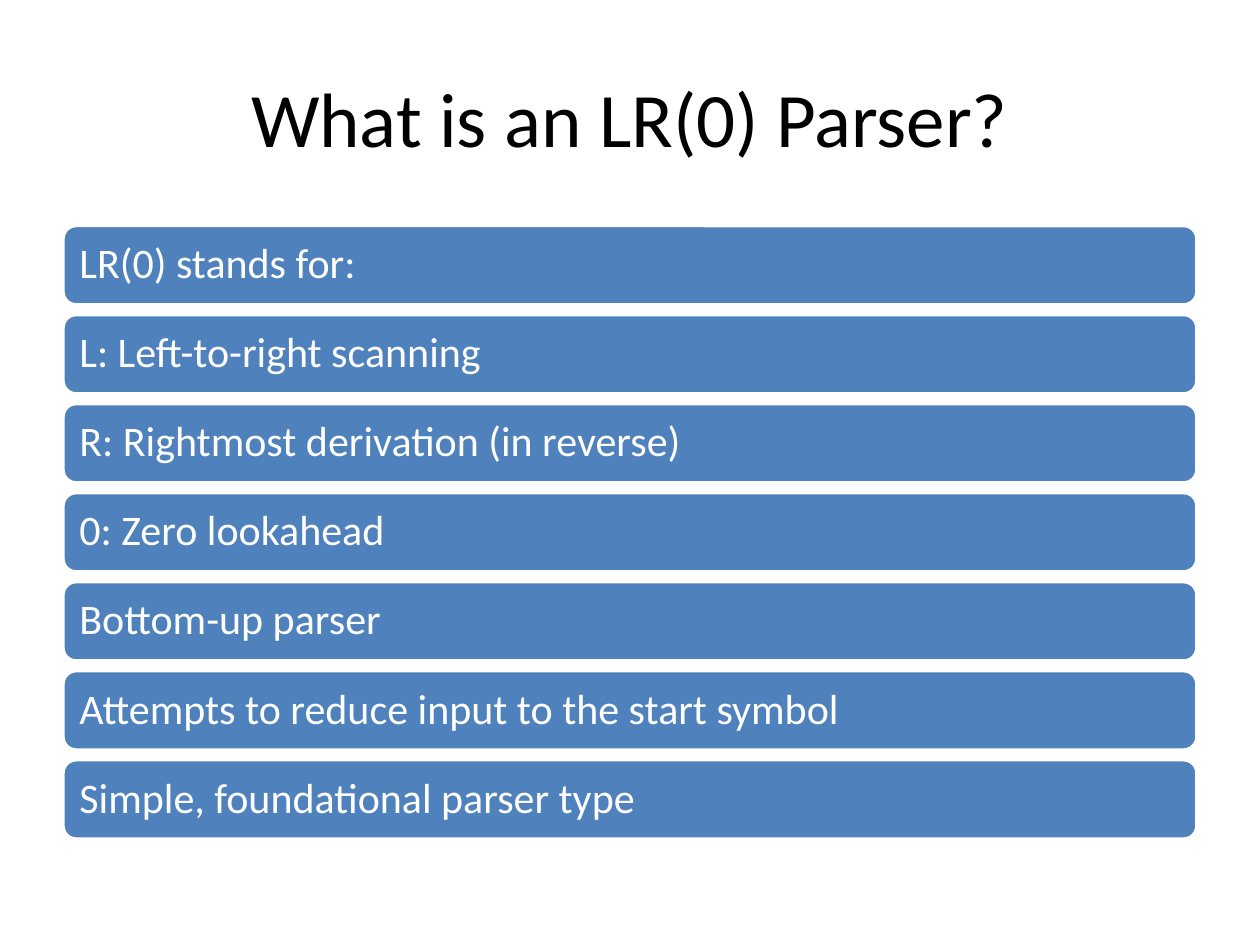
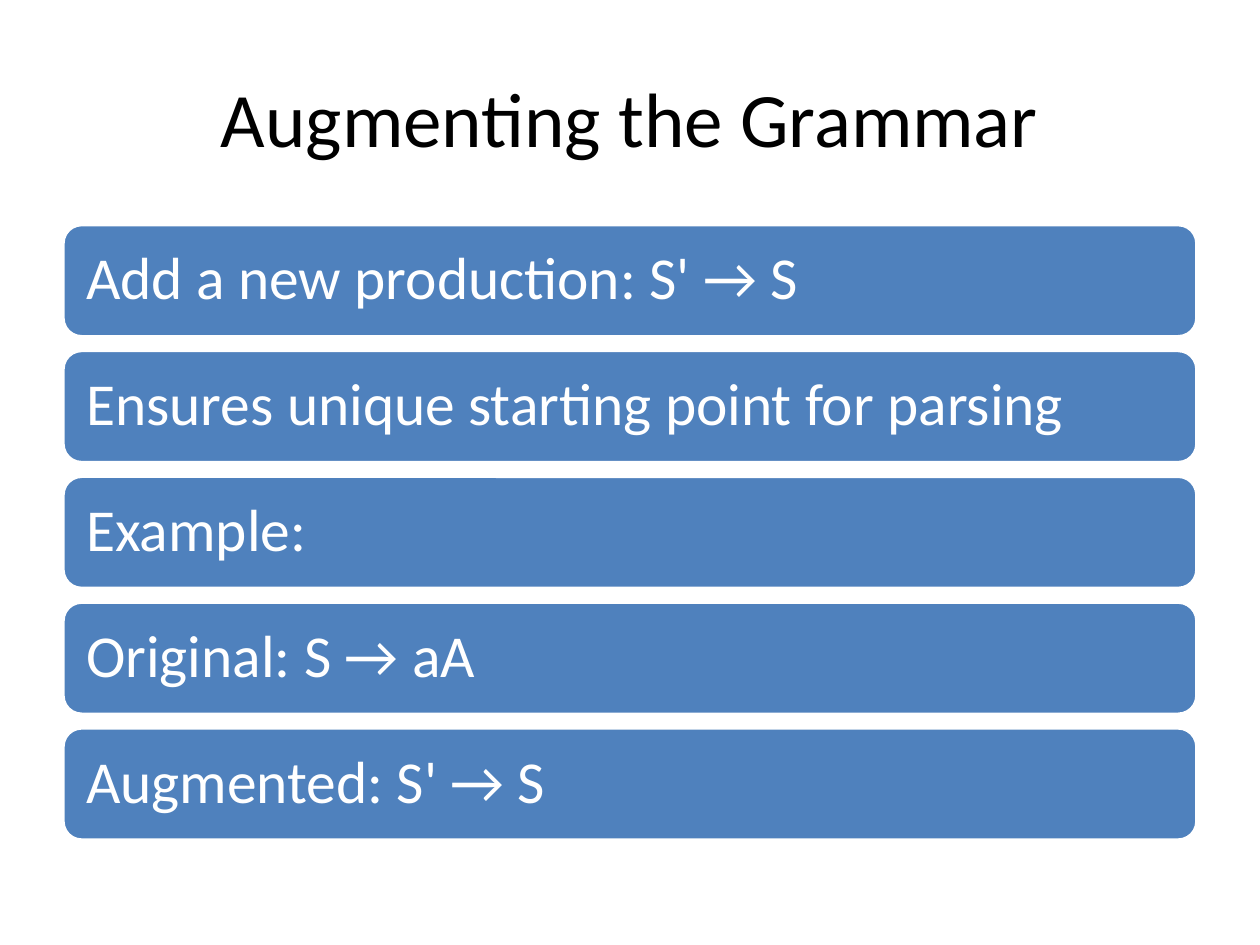
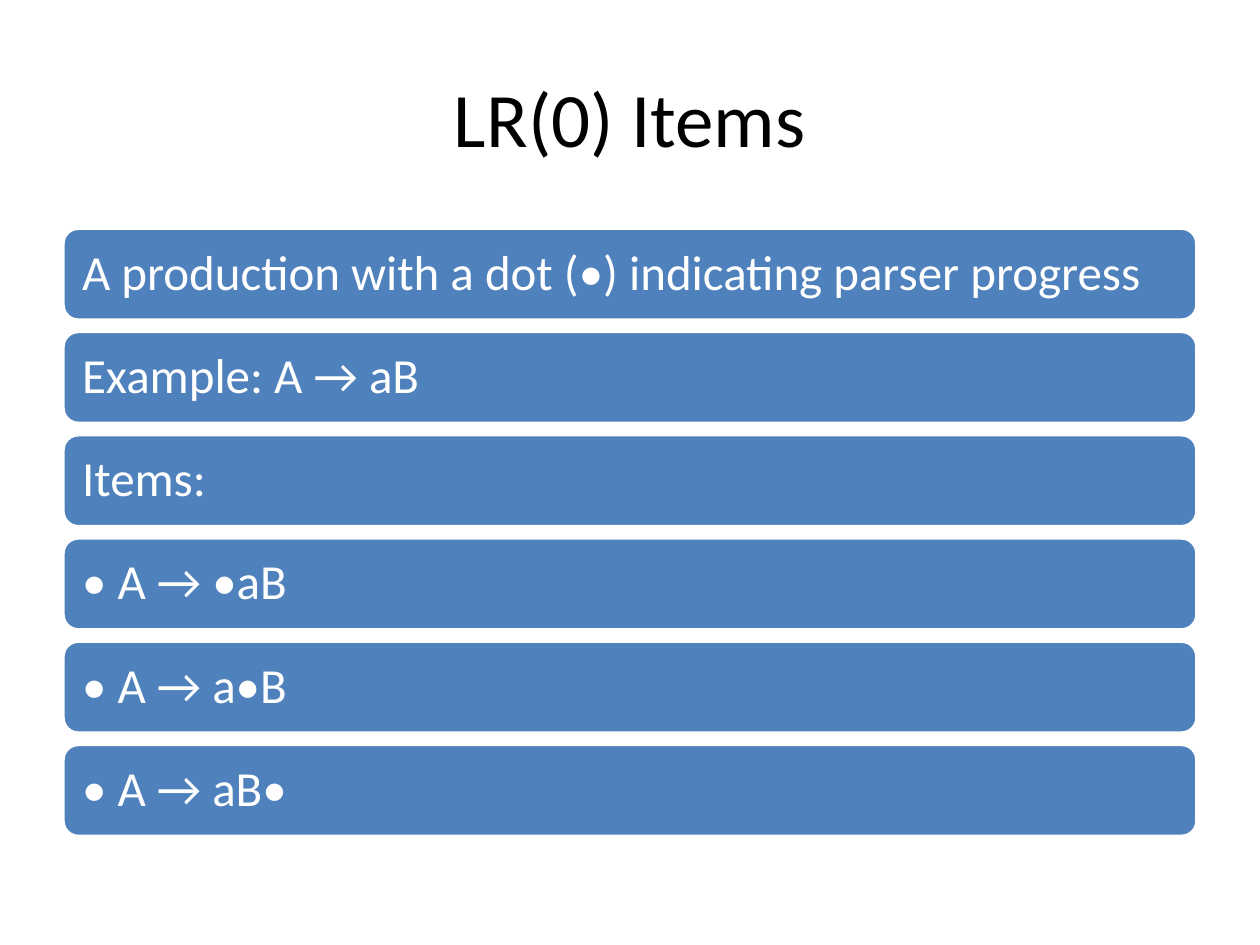
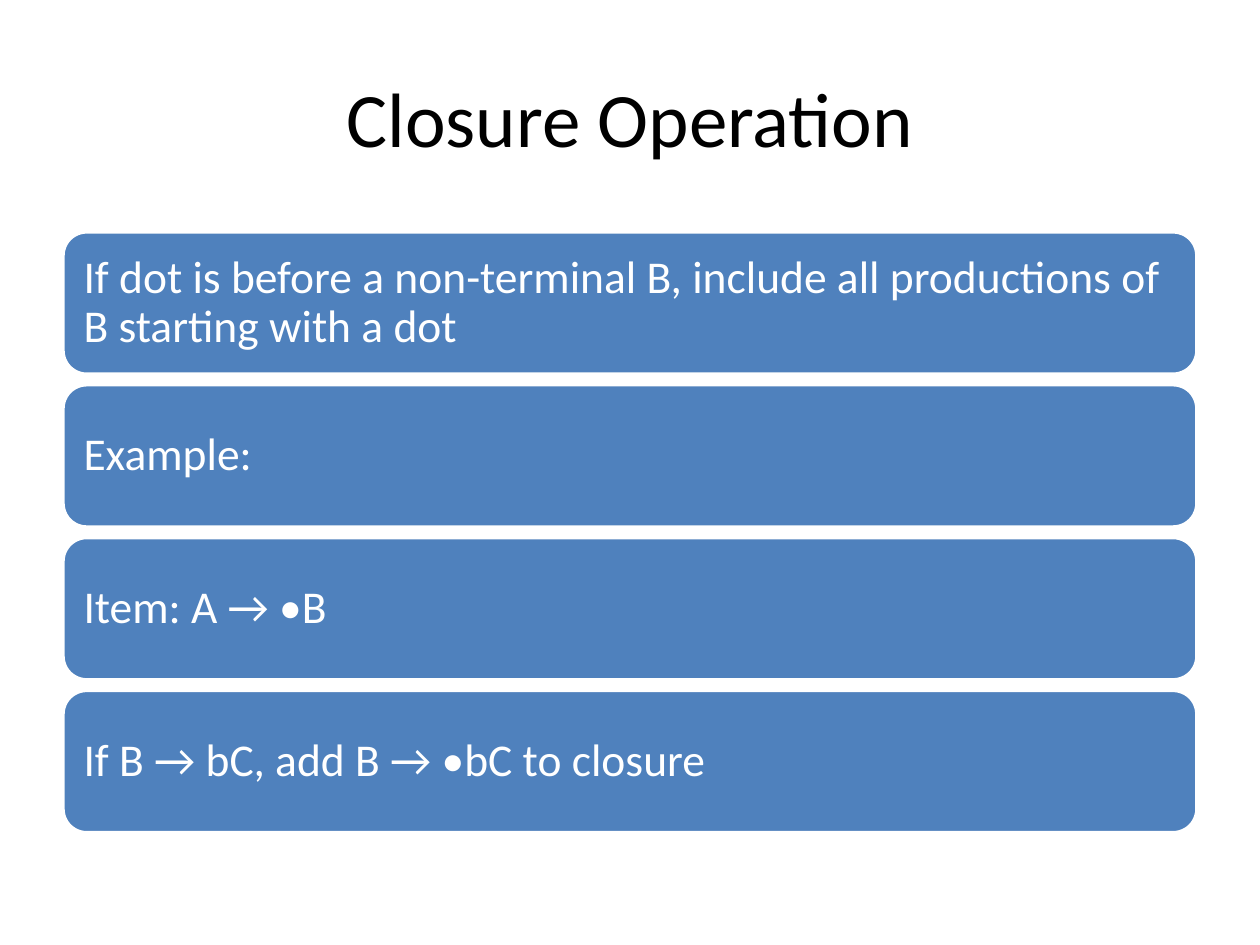
import pptx
import pptx.dml.color
import pptx.enum.shapes
import pptx.enum.text
import pptx.util

COLORS = {"title": "000000", "bar": "4F81BD", "bar_line": "FFFFFF", "bar_text": "FFFFFF"}
FONT = "Calibri"

# Slide geometry, in inches
SLIDE_WIDTH, SLIDE_HEIGHT = 10, 7.5
MARGIN = SLIDE_WIDTH * 0.05
CONTENT_WIDTH = SLIDE_WIDTH - 2 * MARGIN
TITLE_TOP, TITLE_HEIGHT = SLIDE_HEIGHT * 0.04, 1.25
BODY_TOP, BODY_HEIGHT = 1.75, 4.95

# Bar spacing, as shares of the text size
GAP_SHARE, INSET_SHARE = 0.23, 0.3

# Title, text size in points, bar height in inches, bar texts
SLIDES = [
    ("What is an LR(0) Parser?", 24, 0.63, [
        "LR(0) stands for:",
        "L: Left-to-right scanning",
        "R: Rightmost derivation (in reverse)",
        "0: Zero lookahead",
        "Bottom-up parser",
        "Attempts to reduce input to the start symbol",
        "Simple, foundational parser type",
    ]),
    ("Augmenting the Grammar", 34, 0.89, [
        "Add a new production: S' → S",
        "Ensures unique starting point for parsing",
        "Example:",
        "Original: S → aA",
        "Augmented: S' → S",
    ]),
    ("LR(0) Items", 28, 0.73, [
        "A production with a dot (•) indicating parser progress",
        "Example: A → aB",
        "Items:",
        "• A → •aB",
        "• A → a•B",
        "• A → aB•",
    ]),
    ("Closure Operation", 26, 1.13, [
        "If dot is before a non-terminal B, include all productions of B starting with a dot",
        "Example:",
        "Item: A → •B",
        "If B → bC, add B → •bC to closure",
    ]),
]


def rgb(name):
    return pptx.dml.color.RGBColor.from_string(COLORS[name])


def box(left, top, width, height):
    return [pptx.util.Inches(length) for length in (left, top, width, height)]


def write_text(shape, text, *, size, color, align="LEFT", inset=0.1, line_spacing=1.0):
    """Fill a shape with one vertically centred, wrapped paragraph."""
    frame = shape.text_frame
    frame.word_wrap = True
    frame.vertical_anchor = pptx.enum.text.MSO_ANCHOR.MIDDLE
    frame.margin_left = frame.margin_right = pptx.util.Inches(inset)
    frame.margin_top = frame.margin_bottom = pptx.util.Inches(inset)
    paragraph = frame.paragraphs[0]
    paragraph.alignment = pptx.enum.text.PP_ALIGN[align]
    paragraph.line_spacing = line_spacing
    run = paragraph.add_run()
    run.text = text
    run.font.name = FONT
    run.font.size = pptx.util.Pt(size)
    run.font.color.rgb = rgb(color)


def add_title(slide, text):
    title = slide.shapes.add_textbox(*box(MARGIN, TITLE_TOP, CONTENT_WIDTH, TITLE_HEIGHT))
    write_text(title, text, size=44, color="title", align="CENTER")


def add_bar(slide, text, top, height, size):
    bar = slide.shapes.add_shape(
        pptx.enum.shapes.MSO_SHAPE.ROUNDED_RECTANGLE,
        *box(MARGIN, top, CONTENT_WIDTH, height))
    bar.shadow.inherit = False
    bar.fill.solid()
    bar.fill.fore_color.rgb = rgb("bar")
    bar.line.color.rgb = rgb("bar_line")
    bar.line.width = pptx.util.Pt(2)
    write_text(bar, text, size=size, color="bar_text",
               inset=INSET_SHARE * size / 72, line_spacing=0.9)


def add_bar_stack(slide, texts, size, height):
    """Stack equal bars, centred in the body area."""
    gap = GAP_SHARE * size / 72
    stack_height = len(texts) * (height + gap) - gap
    first_top = BODY_TOP + (BODY_HEIGHT - stack_height) / 2
    for row, text in enumerate(texts):
        add_bar(slide, text, first_top + row * (height + gap), height, size)


def main():
    presentation = pptx.Presentation()
    presentation.slide_width = pptx.util.Inches(SLIDE_WIDTH)
    presentation.slide_height = pptx.util.Inches(SLIDE_HEIGHT)
    blank_layout = presentation.slide_layouts[6]
    for title, size, bar_height, texts in SLIDES:
        slide = presentation.slides.add_slide(blank_layout)
        add_title(slide, title)
        add_bar_stack(slide, texts, size, bar_height)
    presentation.save("out.pptx")


if __name__ == "__main__":
    main()
